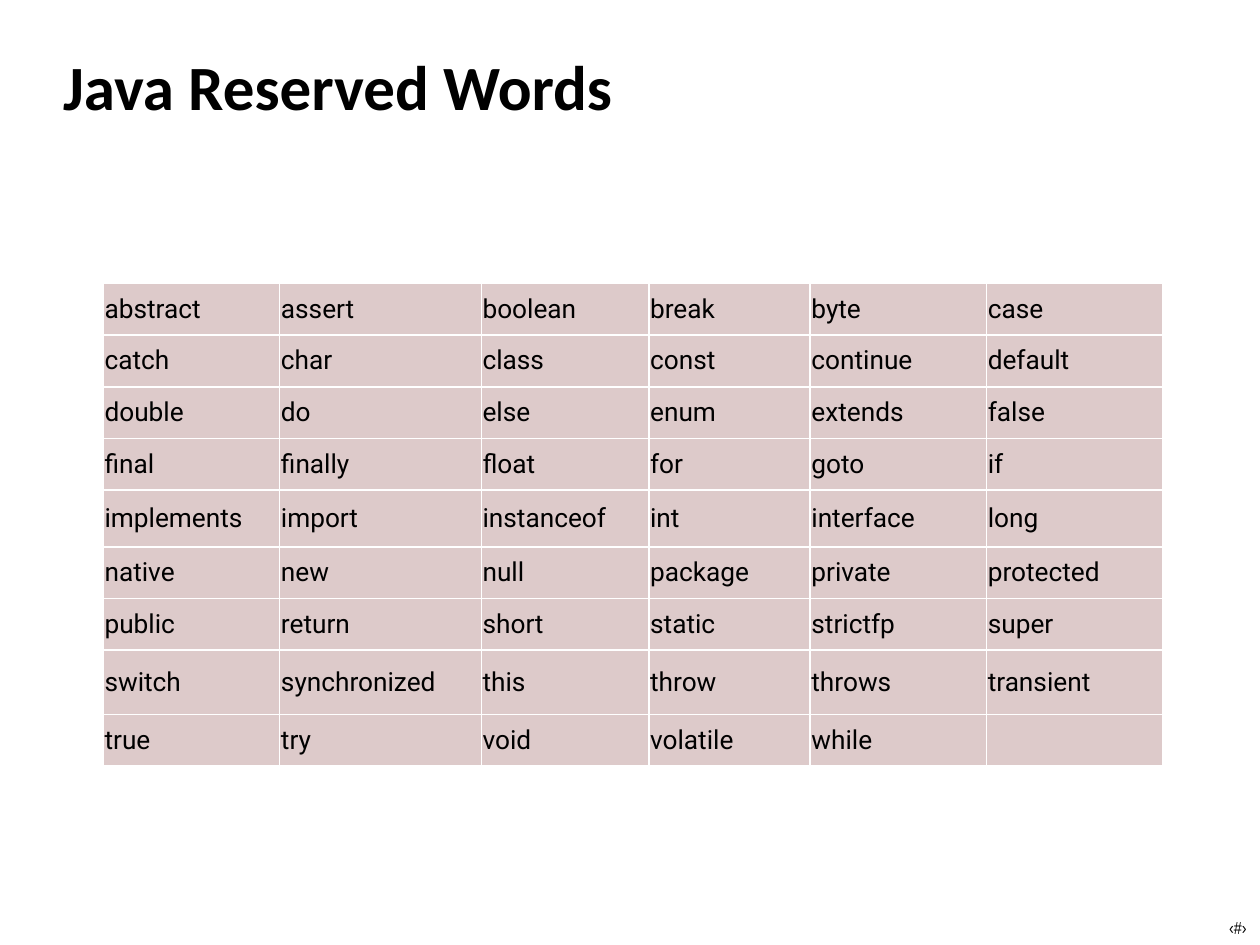
from lxml.etree import SubElement
from pptx import Presentation
from pptx.dml.color import RGBColor
from pptx.enum.text import MSO_ANCHOR, PP_ALIGN
from pptx.oxml.ns import qn
from pptx.util import Inches, Pt

COLORS = {"text": "000000", "cell": "DDCACA", "border": "FFFFFF"}

WORDS = """
abstract assert boolean break byte case
catch char class const continue default
double do else enum extends false
final finally float for goto if
implements import instanceof int interface long
native new null package private protected
public return short static strictfp super
switch synchronized this throw throws transient
true try void volatile while
""".split()

COLUMN_WIDTHS = [1.4, 1.6, 1.33, 1.28, 1.4, 1.4]
ROW_HEIGHTS = [0.41, 0.41, 0.41, 0.41, 0.45, 0.41, 0.41, 0.51, 0.41]


def set_text(frame, text, font_name, size, margin, bold=False):
    frame.margin_left = frame.margin_right = Inches(margin)
    frame.margin_top = frame.margin_bottom = Inches(margin)
    para = frame.paragraphs[0]
    para.text = text
    para.font.name = font_name
    para.font.size = Pt(size)
    para.font.bold = bold
    para.font.color.rgb = RGBColor.from_string(COLORS["text"])
    return para


def add_borders(cell):
    properties = cell._tc.get_or_add_tcPr()
    for position, side in enumerate(("a:lnL", "a:lnR", "a:lnT", "a:lnB")):
        line = properties.makeelement(qn(side), {"w": str(Pt(1))})
        fill = SubElement(line, qn("a:solidFill"))
        SubElement(fill, qn("a:srgbClr"), val=COLORS["border"])
        properties.insert(position, line)


deck = Presentation()
deck.slide_width, deck.slide_height = Inches(10), Inches(7.5)
page = deck.slides.add_slide(deck.slide_layouts[6])

# Page number
number_box = page.shapes.add_textbox(Inches(9.7), Inches(7.23), Inches(0.25), Inches(0.25))
number_box.text_frame.word_wrap = False
number = set_text(number_box.text_frame, "‹#›", "Arial Narrow", 10, 0.05)
number.alignment = PP_ALIGN.CENTER

# Title
title_box = page.shapes.add_textbox(Inches(0.5), Inches(0.08), Inches(9.08), Inches(1.19))
title_box.text_frame.word_wrap = True
title_box.text_frame.vertical_anchor = MSO_ANCHOR.MIDDLE
set_text(title_box.text_frame, "Java Reserved Words", "Calibri", 36, 0, bold=True)

# Table of reserved words
table = page.shapes.add_table(
    len(ROW_HEIGHTS), len(COLUMN_WIDTHS), Inches(0.82), Inches(2.25),
    Inches(sum(COLUMN_WIDTHS)), Inches(sum(ROW_HEIGHTS))).table
table.first_row = table.horz_banding = False
for column, width in zip(table.columns, COLUMN_WIDTHS):
    column.width = Inches(width)
for row, height in zip(table.rows, ROW_HEIGHTS):
    row.height = Inches(height)

for cell in table.iter_cells():
    cell.fill.solid()
    cell.fill.fore_color.rgb = RGBColor.from_string(COLORS["cell"])
    add_borders(cell)

# The last cell stays empty
for cell, word in zip(table.iter_cells(), WORDS):
    cell.vertical_anchor = MSO_ANCHOR.MIDDLE
    cell.margin_left = cell.margin_right = Inches(0.01)
    cell.margin_top = cell.margin_bottom = Inches(0.01)
    set_text(cell.text_frame, word, "Roboto", 15, 0.01)

deck.save("out.pptx")
